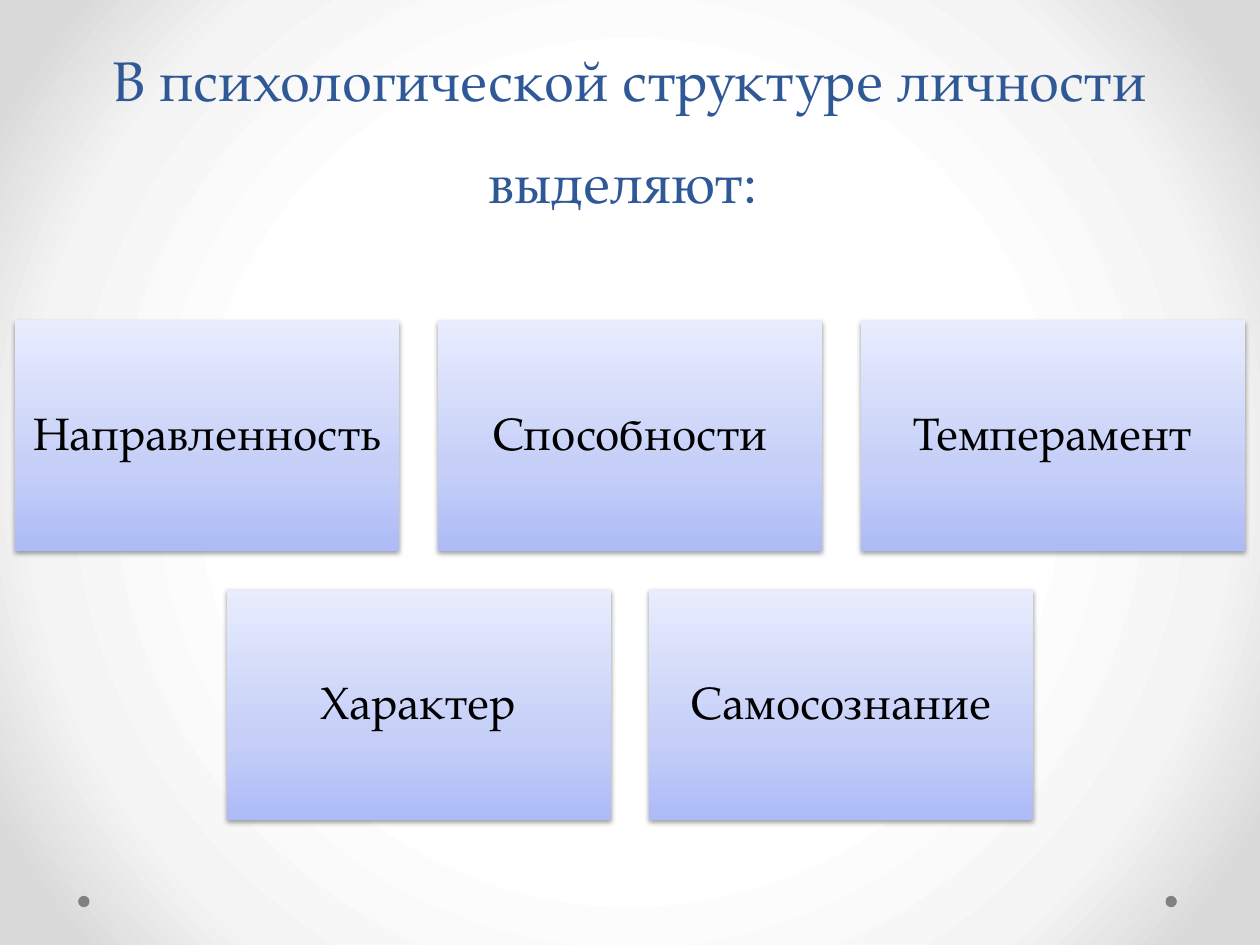
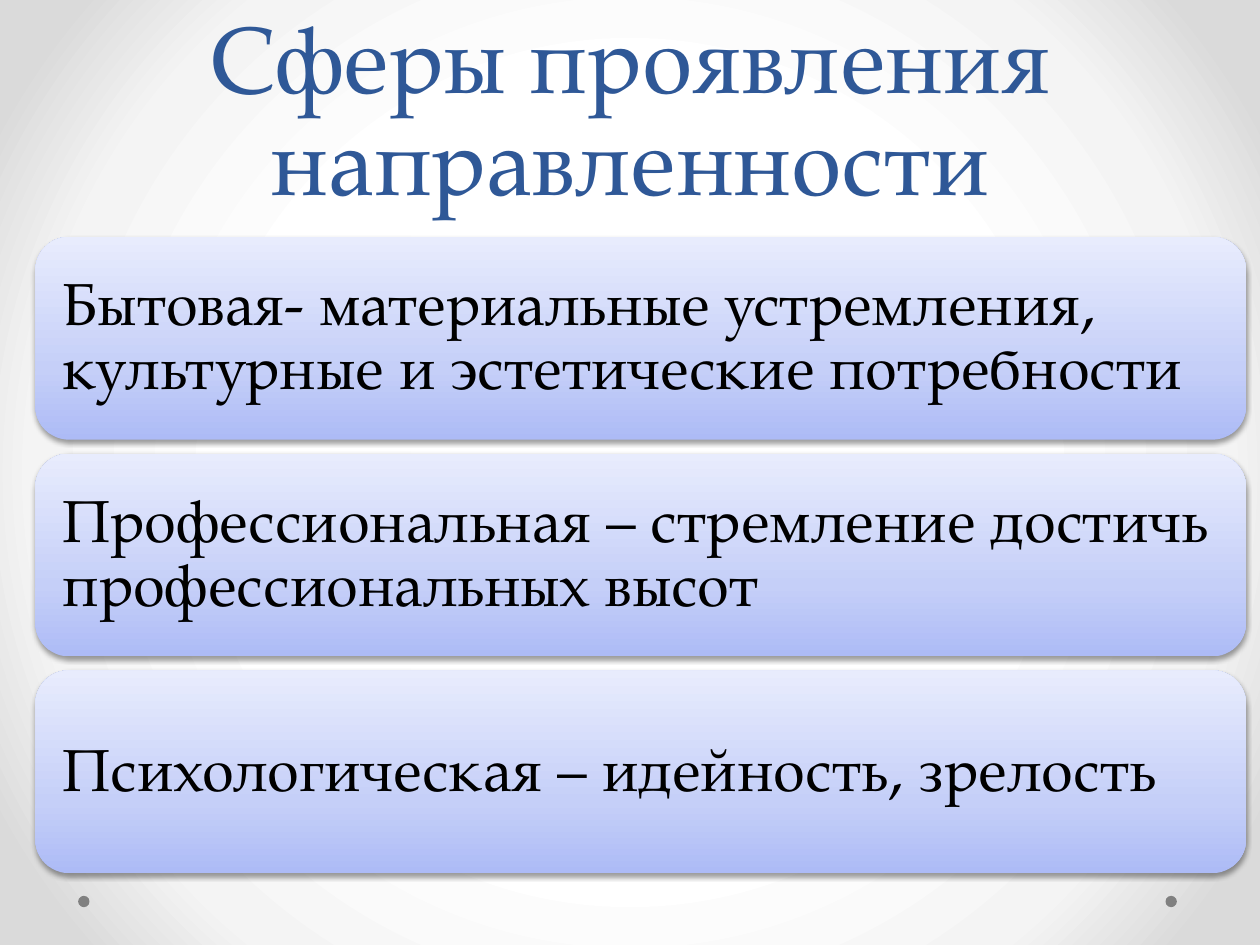
from pptx import Presentation
from pptx.dml.color import RGBColor
from pptx.enum.shapes import MSO_SHAPE as Shape
from pptx.enum.text import MSO_ANCHOR as Anchor, PP_ALIGN as Align
from pptx.oxml import parse_xml
from pptx.oxml.ns import nsdecls, qn
from pptx.util import Inches, Pt

WIDTH, HEIGHT = 10, 7.5
FONT = "TeX Gyre Pagella"
COLORS = {
    "title": "2F5897",
    "text": "000000",
    "dot": "808080",
    "shadow": "000000",
}
BACKDROP_STOPS = [(50, "FFFFFF"), (76, "F4F4F4"), (92, "DADADA")]
BACKDROP_SHADE = (
    '<a:path path="circle"><a:fillToRect l="50000" t="50000" r="50000" b="50000"/></a:path>'
)
CARD_STOPS = [(0, "ADBBF6"), (35, "C5CFF8"), (100, "E8ECFD")]
CARD_SHADE = '<a:lin ang="16200000" scaled="0"/>'

QUALITY_ROWS = [
    ["Направленность", "Способности", "Темперамент"],
    ["Характер", "Самосознание"],
]
SPHERES = [
    "Бытовая- материальные устремления, культурные и эстетические потребности",
    "Профессиональная – стремление достичь профессиональных высот",
    "Психологическая – идейность, зрелость",
]


def gradient(stops, shade):
    marks = "".join(
        f'<a:gs pos="{position * 1000}"><a:srgbClr val="{color}"/></a:gs>'
        for position, color in stops
    )
    return parse_xml(
        f'<a:gradFill {nsdecls("a")} rotWithShape="1"><a:gsLst>{marks}</a:gsLst>{shade}</a:gradFill>'
    )


def set_gradient(fill, properties, stops, shade):
    fill.solid()
    solid = properties.find(qn("a:solidFill"))
    properties.replace(solid, gradient(stops, shade))


def add_shadow(shape):
    effects = shape.element.spPr.find(qn("a:effectLst"))
    effects.append(parse_xml(
        f'<a:outerShdw {nsdecls("a")} blurRad="{Pt(3.1)}" dist="{Pt(1.6)}" dir="5400000" '
        f'rotWithShape="0"><a:srgbClr val="{COLORS["shadow"]}"><a:alpha val="38000"/>'
        '</a:srgbClr></a:outerShdw>'
    ))


def add_plain_shape(slide, kind, left, top, width, height):
    shape = slide.shapes.add_shape(kind, *map(Inches, (left, top, width, height)))
    shape.shadow.inherit = False
    shape.line.fill.background()
    return shape


def write(shape, text, size, color, align, anchor, spacing):
    frame = shape.text_frame
    frame.word_wrap = True
    frame.vertical_anchor = anchor
    paragraph = frame.paragraphs[0]
    paragraph.text = text
    paragraph.alignment = align
    paragraph.line_spacing = spacing
    paragraph.font.name = FONT
    paragraph.font.size = Pt(size)
    paragraph.font.color.rgb = RGBColor.from_string(COLORS[color])


def add_card(slide, kind, box, text, size, align, inset):
    card = add_plain_shape(slide, kind, *box)
    set_gradient(card.fill, card.element.spPr, CARD_STOPS, CARD_SHADE)
    add_shadow(card)
    frame = card.text_frame
    frame.margin_left = frame.margin_right = Inches(inset)
    frame.margin_top = frame.margin_bottom = Inches(inset)
    write(card, text, size, "text", align, Anchor.MIDDLE, 0.9)


def add_slide(presentation, title, title_size):
    slide = presentation.slides.add_slide(presentation.slide_layouts[6])
    fill = slide.background.fill
    fill.solid()
    set_gradient(fill, slide.element.find(".//" + qn("p:bgPr")), BACKDROP_STOPS, BACKDROP_SHADE)
    for left in (9.25, 0.62):
        dot = add_plain_shape(slide, Shape.OVAL, left, 7.11, 0.09, 0.09)
        dot.fill.solid()
        dot.fill.fore_color.rgb = RGBColor.from_string(COLORS["dot"])
    margin = WIDTH * 0.05
    box = slide.shapes.add_textbox(
        Inches(margin), 0, Inches(WIDTH - 2 * margin), Inches(1.75)
    )
    write(box, title, title_size, "title", Align.CENTER, Anchor.BOTTOM, Pt(58))
    return slide


def add_quality_grid(slide, rows):
    width, height = WIDTH * 0.305, 1.83
    gap = width / 10
    for row, names in enumerate(rows):
        start = (WIDTH - len(names) * width - (len(names) - 1) * gap) / 2
        top = 2.54 + row * (height + gap)
        for column, name in enumerate(names):
            box = (start + column * (width + gap), top, width, height)
            add_card(slide, Shape.RECTANGLE, box, name, 26, Align.CENTER, 0.11)


def add_sphere_list(slide, spheres):
    height, pitch = 1.61, 1.72
    for row, sphere in enumerate(spheres):
        box = (0.28, 1.88 + row * pitch, 9.61, height)
        add_card(slide, Shape.ROUNDED_RECTANGLE, box, sphere, 34, Align.LEFT, 0.14)


def main():
    presentation = Presentation()
    presentation.slide_width = Inches(WIDTH)
    presentation.slide_height = Inches(HEIGHT)
    structure = add_slide(presentation, "В психологической структуре личности выделяют: ", 32)
    add_quality_grid(structure, QUALITY_ROWS)
    orientation = add_slide(presentation, "Сферы проявления направленности", 54)
    add_sphere_list(orientation, SPHERES)
    presentation.save("out.pptx")


if __name__ == "__main__":
    main()
